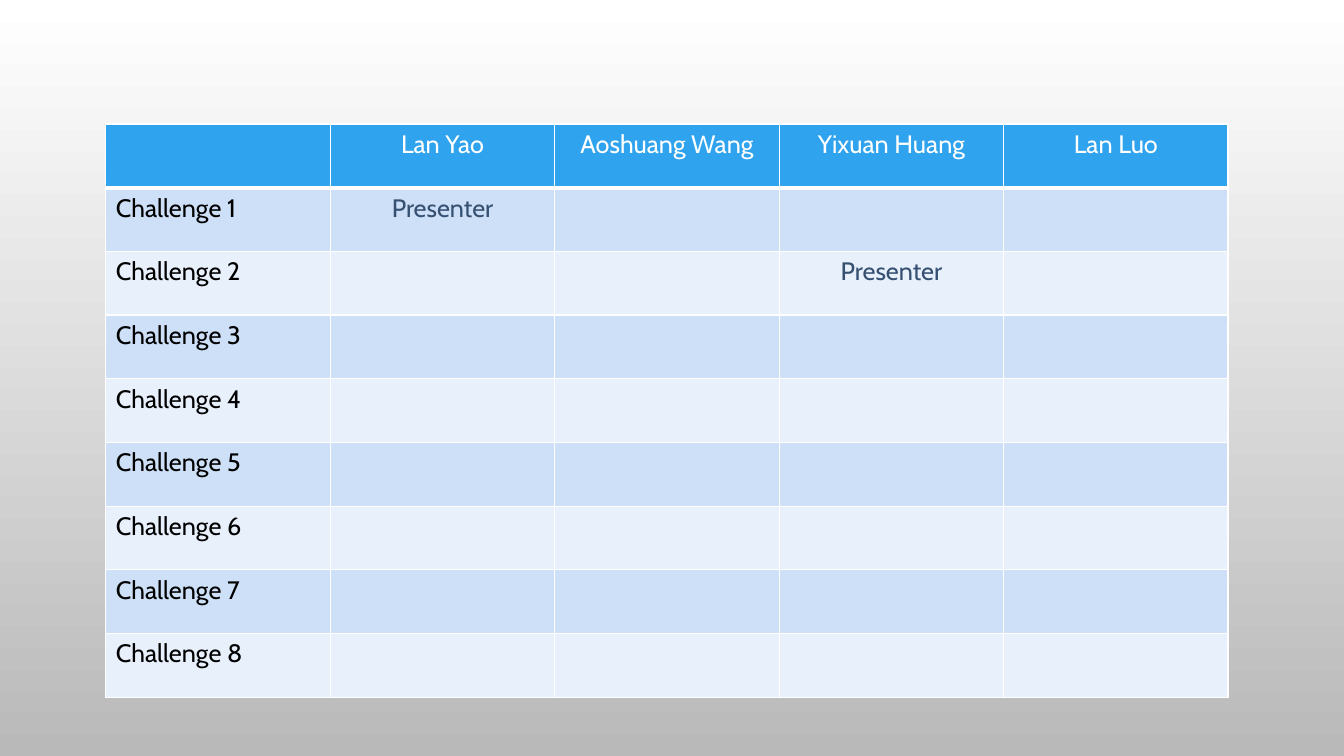
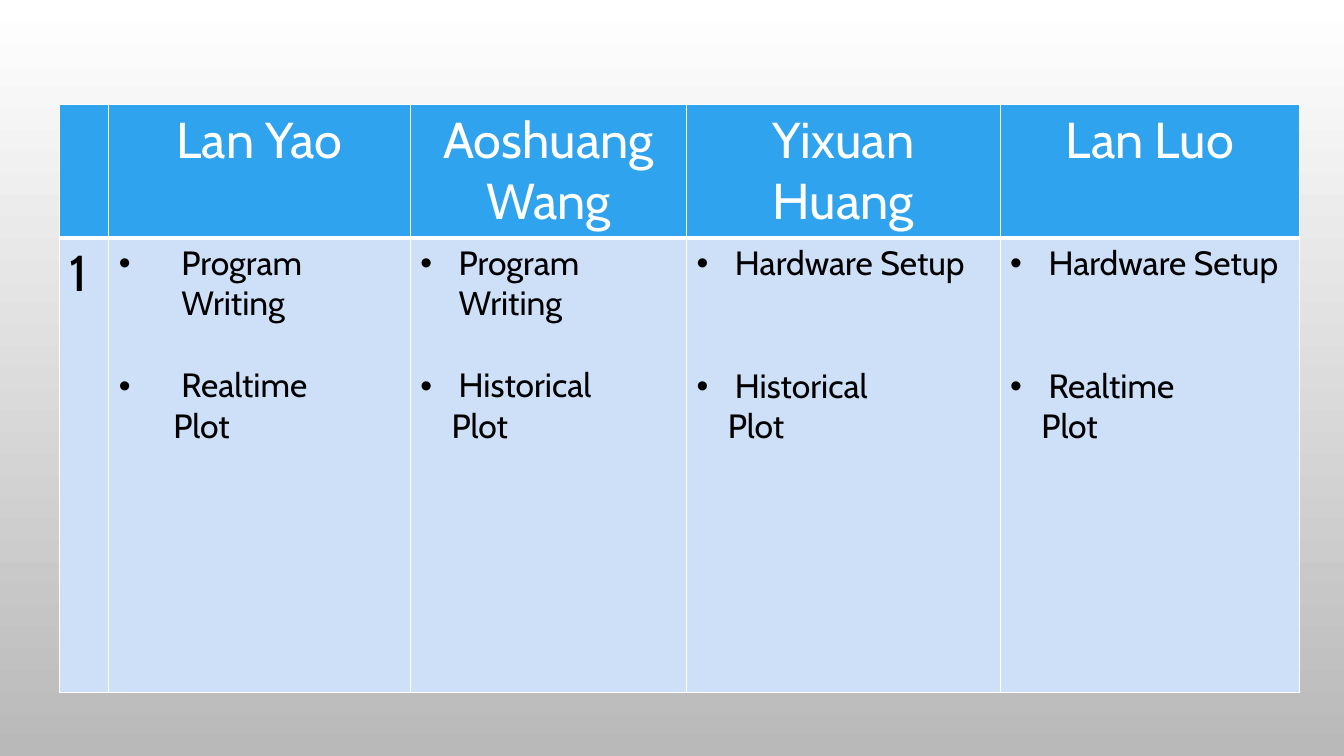
from lxml.etree import SubElement
from pptx import Presentation
from pptx.dml.color import RGBColor
from pptx.enum.text import PP_ALIGN
from pptx.oxml import parse_xml
from pptx.oxml.ns import nsdecls, qn
from pptx.util import Inches, Pt

WHITE = RGBColor(0xFF, 0xFF, 0xFF)
GREY = RGBColor(0xB9, 0xB9, 0xB9)
BLACK = RGBColor(0x00, 0x00, 0x00)
BLUE = RGBColor(0x2F, 0xA3, 0xEE)
NAVY = RGBColor(0x35, 0x50, 0x71)
BANDS = [RGBColor(0xCD, 0xE0, 0xF8), RGBColor(0xE8, 0xF0, 0xFC)]

MEMBERS = ["Lan Yao", "Aoshuang Wang", "Yixuan Huang", "Lan Luo"]
PRESENTERS = {1: "Lan Yao", 2: "Yixuan Huang"}
BLANK_LINE = 29.3
TASKS = [
    ("Program Writing", "Realtime", 1, 0.62, 0.54),
    ("Program Writing", "Historical", 1, 0.38, 0.31),
    ("Hardware Setup", "Historical", 2, 0.38, 0.31),
    ("Hardware Setup", "Realtime", 2, 0.38, 0.31),
]


class Slides:
    font = "Cabin"

    def __init__(self):
        self.deck = Presentation()
        self.deck.slide_width = Inches(13.33)
        self.deck.slide_height = Inches(7.5)
        self.page = None
        self.style_background()

    def style_background(self):
        fill = self.deck.slide_master.background.fill
        fill.gradient()
        fill.gradient_angle = 270
        for stop, position, colour in zip(fill.gradient_stops, (0, 1), (WHITE, GREY)):
            stop.position = position
            stop.color.rgb = colour

    def add_page(self):
        self.page = self.deck.slides.add_slide(self.deck.slide_layouts[6])

    def add_table(self, left, top, widths, heights):
        frame = self.page.shapes.add_table(
            len(heights), len(widths), Inches(left), Inches(top),
            Inches(sum(widths)), Inches(sum(heights)))
        table = frame.table
        table.first_row = table.horz_banding = False
        for column, width in zip(table.columns, widths):
            column.width = Inches(width)
        for index, (row, height) in enumerate(zip(table.rows, heights)):
            row.height = Inches(height)
            for cell in row.cells:
                self.style_cell(cell, index)
        return table

    def style_cell(self, cell, row):
        properties = cell._tc.get_or_add_tcPr()
        for side in "LRTB":
            points = 3 if row == 0 and side == "B" else 1
            properties.append(parse_xml(
                f'<a:ln{side} {nsdecls("a")} w="{Pt(points)}"><a:solidFill>'
                f'<a:srgbClr val="{WHITE}"/></a:solidFill></a:ln{side}>'))
        cell.fill.solid()
        cell.fill.fore_color.rgb = BLUE if row == 0 else BANDS[(row - 1) % 2]

    def add_text(self, paragraph, text, size, colour, align=PP_ALIGN.LEFT):
        paragraph.alignment = align
        span = paragraph.add_run()
        span.text = text
        for name, value in {"name": self.font, "size": Pt(size)}.items():
            setattr(span.font, name, value)
        span.font.color.rgb = colour

    def add_cell_text(self, cell, text, size, colour, align=PP_ALIGN.LEFT):
        self.add_text(cell.text_frame.paragraphs[0], text, size, colour, align)

    def add_header(self, table, size):
        for column, member in enumerate(MEMBERS, 1):
            self.add_cell_text(table.cell(0, column), member, size, WHITE, PP_ALIGN.CENTER)

    def add_item(self, paragraph, text, margin, bullet=True, space=0):
        properties = paragraph._p.get_or_add_pPr()
        properties.set("marL", str(Inches(margin)))
        properties.set("indent", str(-Inches(margin) if bullet else 0))
        if bullet:
            SubElement(properties, qn("a:buFont"), typeface="Arial")
            SubElement(properties, qn("a:buChar"), char="•")
        if space:
            paragraph.space_before = Pt(space)
        self.add_text(paragraph, text, 24, BLACK)


def add_schedule(slides):
    slides.add_page()
    table = slides.add_table(1.05, 1.23, [11.13 / 5] * 5, [5.69 / 9] * 9)
    slides.add_header(table, 18)
    for number in range(1, 9):
        slides.add_cell_text(table.cell(number, 0), f"Challenge {number}", 18, BLACK)
    for number, member in PRESENTERS.items():
        cell = table.cell(number, MEMBERS.index(member) + 1)
        slides.add_cell_text(cell, "Presenter", 18, NAVY, PP_ALIGN.CENTER)


def add_tasks(slides):
    slides.add_page()
    table = slides.add_table(0.59, 1.04, [0.49, 2.99, 2.74, 3.11, 2.97], [1.31, 4.51])
    slides.add_header(table, 36)
    slides.add_cell_text(table.cell(1, 0), "1", 36, BLACK)
    for column, (job, plot, gap, margin, plot_margin) in enumerate(TASKS, 1):
        frame = table.cell(1, column).text_frame
        slides.add_item(frame.paragraphs[0], job, margin)
        slides.add_item(frame.add_paragraph(), plot, margin, space=gap * BLANK_LINE)
        slides.add_item(frame.add_paragraph(), "Plot", plot_margin, bullet=False)


def main():
    slides = Slides()
    add_schedule(slides)
    add_tasks(slides)
    slides.deck.save("out.pptx")


if __name__ == "__main__":
    main()
